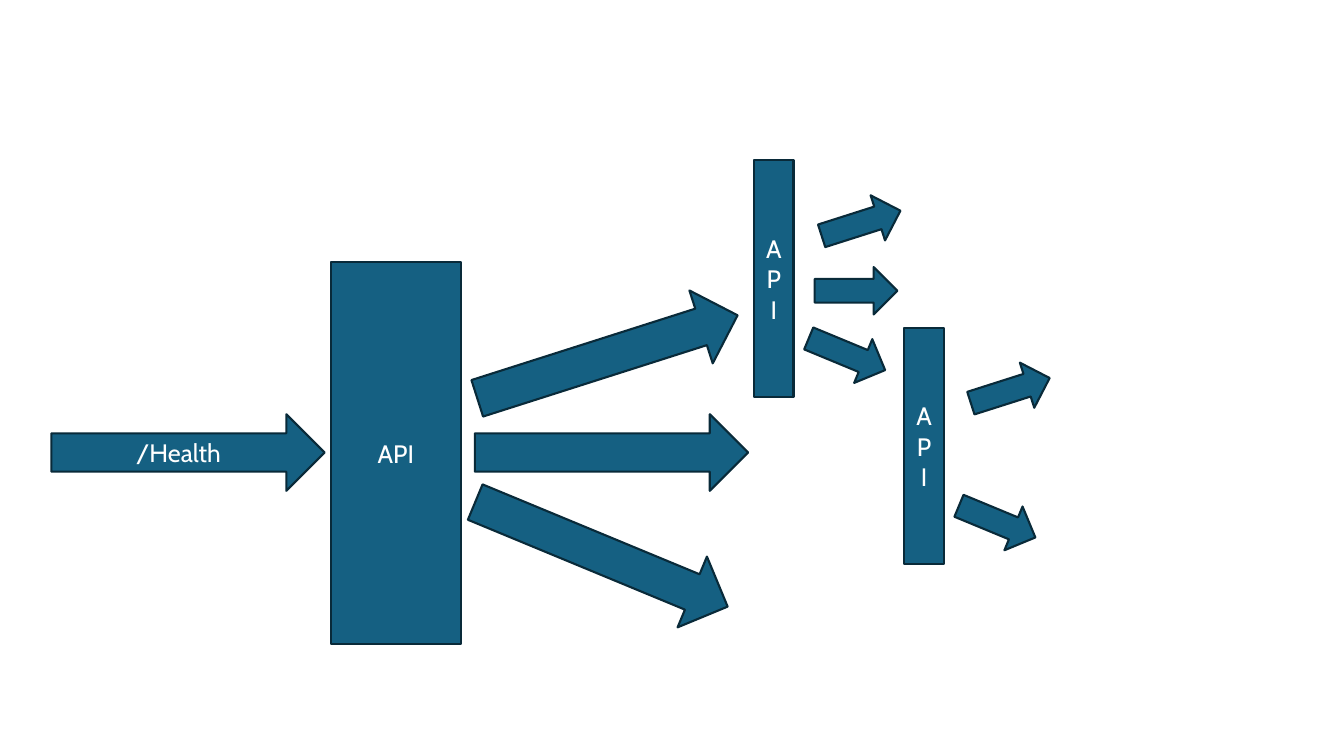
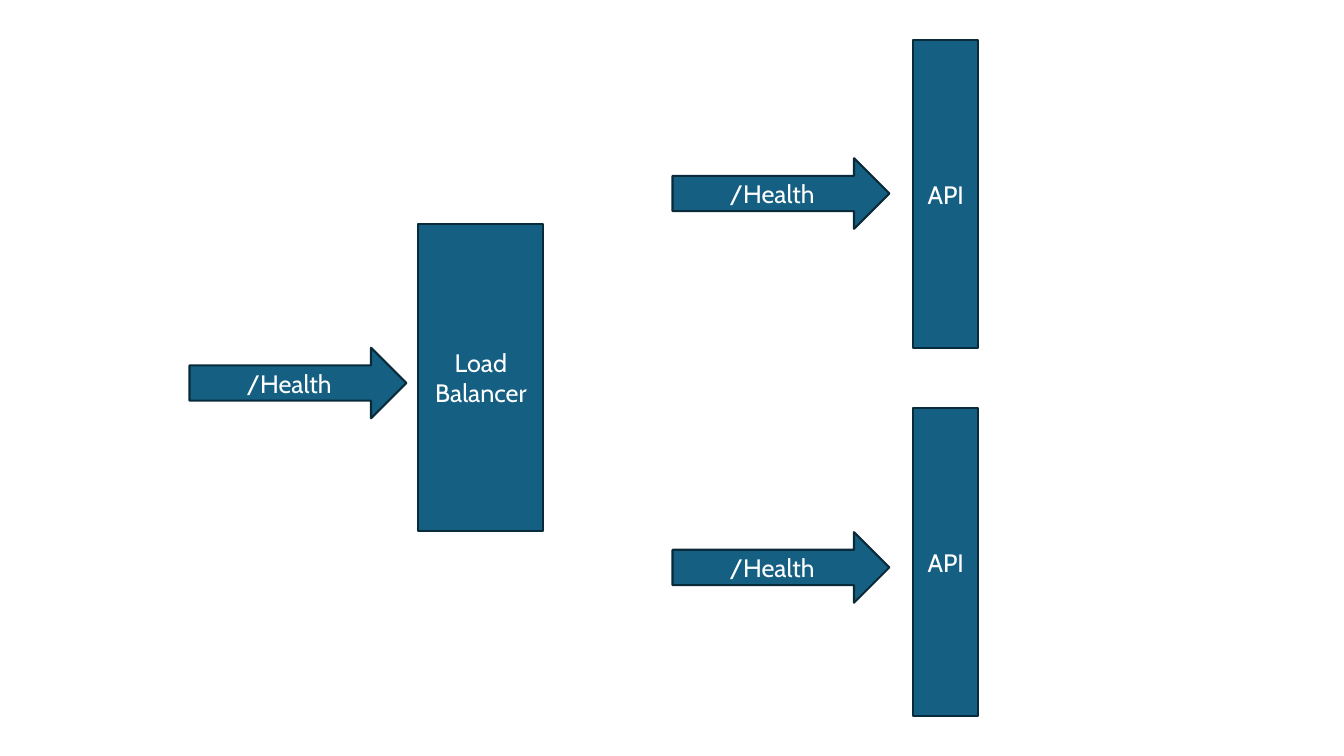
from pptx import Presentation
from pptx.dml.color import RGBColor
from pptx.enum.shapes import MSO_SHAPE
from pptx.enum.text import MSO_ANCHOR, PP_ALIGN
from pptx.util import Inches, Pt

BLUE = RGBColor(0x15, 0x60, 0x82)
NAVY = RGBColor(0x09, 0x2A, 0x39)
WHITE = RGBColor(0xFF, 0xFF, 0xFF)
FONT = "Cabin"
BOX = MSO_SHAPE.RECTANGLE
ARROW = MSO_SHAPE.RIGHT_ARROW
UP, FLAT, DOWN = 342.3, 0, 22.5


def add_part(slide, kind, left, top, size, text="", turn=0):
    """Add a box or arrow in the shared style."""
    wide, high = size
    part = slide.shapes.add_shape(
        kind, Inches(left), Inches(top), Inches(wide), Inches(high))
    part.rotation = turn
    part.shadow.inherit = False
    part.fill.solid()
    part.fill.fore_color.rgb = BLUE
    part.line.color.rgb = NAVY
    part.line.width = Pt(1.5)
    if text:
        frame = part.text_frame
        frame.text = text
        frame.word_wrap = True
        frame.vertical_anchor = MSO_ANCHOR.MIDDLE
        line = frame.paragraphs[0]
        line.alignment = PP_ALIGN.CENTER
        font = line.runs[0].font
        font.name = FONT
        font.size = Pt(18)
        font.color.rgb = WHITE


deck = Presentation()
deck.slide_width = Inches(13.33)
deck.slide_height = Inches(7.5)
blank = deck.slide_layouts[6]

# Slide 1: a health check fans out through chained APIs
slide = deck.slides.add_slide(blank)
long = (2.71, 0.76)
short = (0.82, 0.47)
slim = (0.39, 2.35)

# Caller and first API
add_part(slide, BOX, 3.28, 2.6, (1.29, 3.79), "API")
add_part(slide, ARROW, 0.51, 4.11, long, "/Health")
for left, top, turn in [(4.71, 4.11, FLAT), (4.67, 3.16, UP), (4.61, 5.12, DOWN)]:
    add_part(slide, ARROW, left, top, long, turn=turn)

# Downstream APIs and their calls
for left, top in [(7.48, 1.59), (8.97, 3.25)]:
    add_part(slide, BOX, left, top, slim, "API")
for left, top, turn in [(8.08, 2.65, FLAT), (8.13, 1.98, UP), (7.99, 3.28, DOWN),
                        (9.61, 3.64, UP), (9.48, 4.94, DOWN)]:
    add_part(slide, ARROW, left, top, short, turn=turn)

# Slide 2: a load balancer checks each API
slide = deck.slides.add_slide(blank)
check = (2.15, 0.7)
tall = 3.05

# APIs with their checks
for top, mid in [(0.4, 1.57), (4.05, 5.28)]:
    add_part(slide, BOX, 9.06, top, (0.64, tall), "API")
    add_part(slide, ARROW, 6.67, mid, check, "/Health")

# Balancer with its check
add_part(slide, ARROW, 1.88, 3.45, check, "/Health")
add_part(slide, BOX, 4.15, 2.22, (1.24, tall), "Load Balancer")

deck.save("out.pptx")
